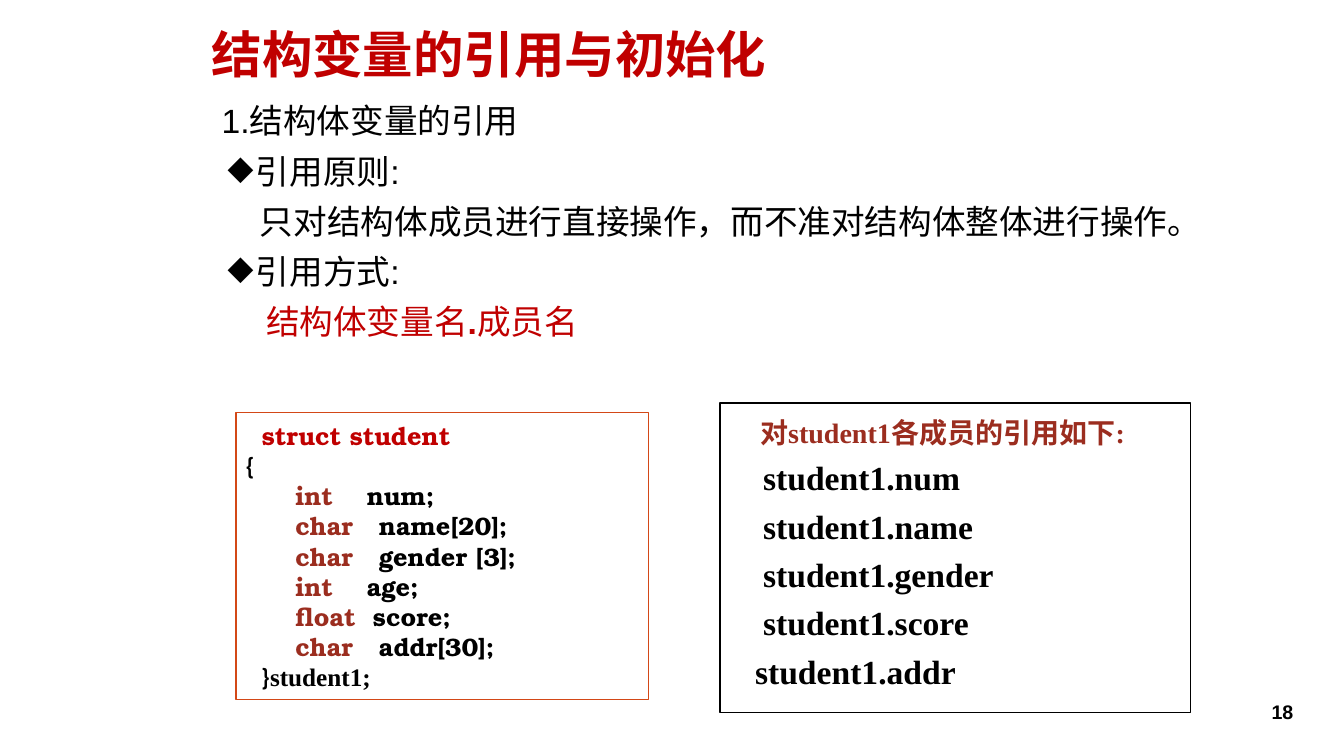
from lxml.etree import SubElement
from pptx import Presentation
from pptx.dml.color import RGBColor
from pptx.enum.shapes import MSO_SHAPE as Shape
from pptx.enum.text import MSO_ANCHOR as Anchor, MSO_AUTO_SIZE as AutoSize, PP_ALIGN as Align
from pptx.oxml.ns import qn
from pptx.util import Inches, Pt

BLACK, WHITE, RED, BROWN, ORANGE = "000000", "FFFFFF", "C00000", "9B2D1F", "D34817"
SANS, TITLE_FONT, CODE_FONT, SERIF = "Arial", "Arial Narrow", "TeX Gyre Bonum", "Times New Roman"

TITLE = "结构变量的引用与初始化"
PAGE = "18"
POINTS = [
    (0, None, [("1.结构体变量的引用", BLACK, False)]),
    (0.34, "◆", [("引用原则:", BLACK, False)]),
    (0.38, None, [("只对结构体成员进行直接操作，而不准对结构体整体进行操作。", BLACK, False)]),
    (0.34, "◆", [("引用方式:", BLACK, False)]),
    (0.44, None, [("结构体变量名", RED, False), (".", RED, True), ("成员名", RED, False)]),
]
MEMBERS = [
    ("int", "num;", 1.2),
    ("char", "name[20];", 1.32),
    ("char", "gender [3];", 1.32),
    ("int", "age;", 1.2),
    ("float", "score;", 1.26),
    ("char", "addr[30];", 1.32),
]
TYPE_TAB = 0.49
REFERENCES = [
    ("对student1各成员的引用如下:", 0.3, 20, BROWN),
    ("student1.num", 0.33, 24, BLACK),
    ("student1.name", 0.33, 24, BLACK),
    ("student1.gender", 0.33, 24, BLACK),
    ("student1.score", 0.33, 24, BLACK),
    ("student1.addr", 0.25, 24, BLACK),
]


def color(value):
    return RGBColor.from_string(value)


def write(paragraph, text, font, size, value, bold=False):
    run = paragraph.add_run()
    run.text = text
    run.font.name, run.font.size, run.font.bold = font, Pt(size), bold
    run.font.color.rgb = color(value)


def paragraphs(frame, count):
    return [frame.paragraphs[0]] + [frame.add_paragraph() for _ in range(count - 1)]


def indent(paragraph, left, hanging=0):
    properties = paragraph._p.get_or_add_pPr()
    properties.set("marL", str(Inches(left)))
    properties.set("indent", str(-Inches(hanging)))
    return properties


def add_bullet(properties, symbol):
    tint = SubElement(properties, qn("a:buClr"))
    SubElement(tint, qn("a:srgbClr"), val=BLACK)
    SubElement(properties, qn("a:buChar"), char=symbol)


def add_tabs(paragraph, stops):
    tab_list = SubElement(paragraph._p.get_or_add_pPr(), qn("a:tabLst"))
    for stop in stops:
        SubElement(tab_list, qn("a:tab"), pos=str(Inches(stop)), algn="l")


def add_text_area(slide, box):
    frame = slide.shapes.add_textbox(*map(Inches, box)).text_frame
    frame.word_wrap = True
    return frame


def add_panel(slide, box, border, anchor):
    panel = slide.shapes.add_shape(Shape.RECTANGLE, *map(Inches, box))
    panel.shadow.inherit = False
    panel.fill.solid()
    panel.fill.fore_color.rgb = color(WHITE)
    panel.line.color.rgb = color(border)
    panel.line.width = Pt(1)
    frame = panel.text_frame
    frame.word_wrap = True
    frame.vertical_anchor = anchor
    return frame


def add_title(slide):
    title = slide.shapes.title
    title.left, title.top, title.width, title.height = map(Inches, (2, 0.27, 9.34, 0.6))
    frame = title.text_frame
    frame.auto_size = AutoSize.NONE
    frame.vertical_anchor = Anchor.MIDDLE
    heading = frame.paragraphs[0]
    heading.alignment = Align.LEFT
    heading.line_spacing = 0.9
    write(heading, TITLE, TITLE_FONT, 36, RED, True)


def add_points(slide):
    frame = add_text_area(slide, (2.1, 0.99, 10.81, 3.07))
    for line, (left, symbol, parts) in zip(paragraphs(frame, len(POINTS)), POINTS):
        line.line_spacing = 0.9
        line.space_before = Pt(10)
        properties = indent(line, left, 0.28 if symbol else 0)
        if symbol:
            add_bullet(properties, symbol)
        for text, value, bold in parts:
            write(line, text, SANS, 24, value, bold)


def add_code(slide):
    frame = add_panel(slide, (2.34, 4.09, 4.09, 2.85), ORANGE, Anchor.MIDDLE)
    lines = paragraphs(frame, len(MEMBERS) + 3)
    for line in lines:
        line.alignment = Align.LEFT
    header, opening, *body, closing = lines
    indent(header, 0.16)
    write(header, "struct student", CODE_FONT, 18, RED, True)
    write(opening, "{", CODE_FONT, 18, BLACK, True)
    for line, (kind, member, member_tab) in zip(body, MEMBERS):
        add_tabs(line, (TYPE_TAB, member_tab))
        write(line, f"\t{kind}", CODE_FONT, 18, BROWN, True)
        write(line, f"\t{member}", CODE_FONT, 18, BLACK, True)
    indent(closing, 0.16)
    write(closing, "}", CODE_FONT, 18, BLACK, True)
    write(closing, "student1;", SERIF, 18, BLACK, True)


def add_references(slide):
    frame = add_panel(slide, (7.14, 4, 4.67, 3.07), BLACK, Anchor.TOP)
    frame.margin_top = Inches(0.12)
    for line, (text, left, size, value) in zip(paragraphs(frame, len(REFERENCES)), REFERENCES):
        line.alignment = Align.LEFT
        line.space_before = Pt(5.8)
        indent(line, left)
        write(line, text, SERIF, size, value, True)


def add_page_number(slide):
    frame = add_text_area(slide, (12.37, 6.86, 0.7, 0.4))
    frame.vertical_anchor = Anchor.MIDDLE
    number = frame.paragraphs[0]
    number.alignment = Align.CENTER
    write(number, PAGE, SANS, 14, BLACK, True)


def main():
    deck = Presentation()
    deck.slide_width, deck.slide_height = Inches(13.33), Inches(7.5)
    slide = deck.slides.add_slide(deck.slide_layouts[5])
    for add_part in (add_title, add_points, add_code, add_references, add_page_number):
        add_part(slide)
    deck.save("out.pptx")


if __name__ == "__main__":
    main()
